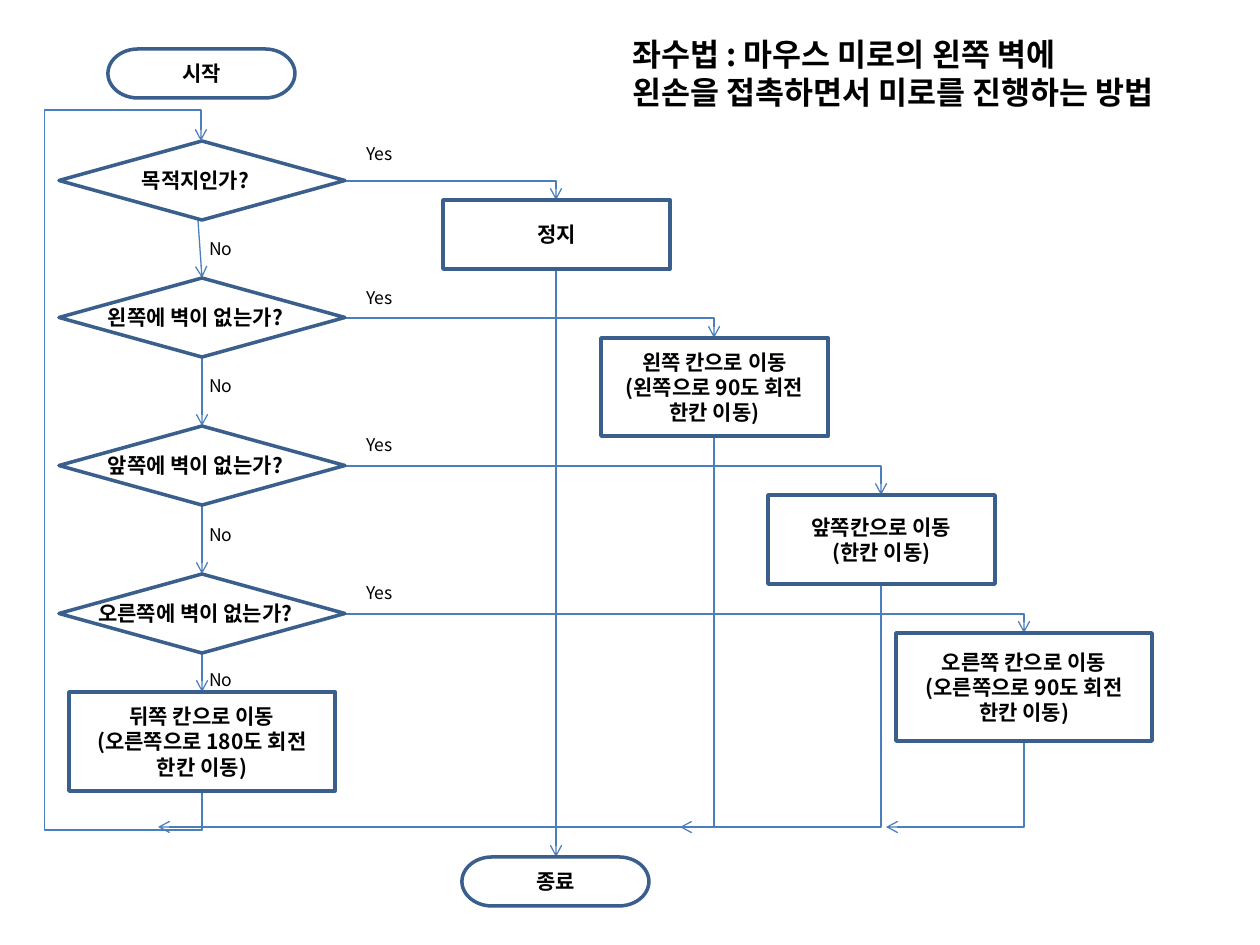
from dataclasses import dataclass

from lxml.etree import SubElement
from pptx import Presentation
from pptx.dml.color import RGBColor
from pptx.enum.shapes import MSO_CONNECTOR, MSO_SHAPE
from pptx.enum.text import MSO_ANCHOR, PP_ALIGN
from pptx.oxml.ns import qn
from pptx.util import Emu, Pt


@dataclass(frozen=True)
class Theme:
    """Colours, font and sizes in points."""
    font: str = "Noto Sans CJK KR"
    ink: RGBColor = RGBColor(0, 0, 0)
    paper: RGBColor = RGBColor(255, 255, 255)
    border: RGBColor = RGBColor(0x3A, 0x5F, 0x8C)
    flow: RGBColor = RGBColor(0x4B, 0x7E, 0xBC)
    title: int = 18
    step: int = 12
    label: int = 10
    border_width: float = 2
    flow_width: float = 0.75


THEME = Theme()
MAIN_X = 202
STOP_X = 556
DECISION_LEFT, DECISION_WIDTH, DECISION_HEIGHT = 59, 286, 79
RETURN_Y = 827


def px(length):
    """Turn pixels into EMU."""
    return Emu(round(length * 914400 / 126))


def write(frame, lines, size, bold=False, align=PP_ALIGN.LEFT):
    """Fill a text frame with one paragraph per line."""
    frame.text = "\n".join(lines)
    for paragraph in frame.paragraphs:
        paragraph.alignment = align
        font = paragraph.font
        font.name, font.size, font.bold = THEME.font, Pt(size), bold
        font.color.rgb = THEME.ink
        properties = paragraph._p.pPr.find(qn("a:defRPr"))
        SubElement(properties, qn("a:ea")).set("typeface", THEME.font)


def add_text(slide, left, top, width, height, lines, size, bold=False):
    """Add a free-standing text."""
    box = slide.shapes.add_textbox(px(left), px(top), px(width), px(height))
    box.text_frame.word_wrap = True
    write(box.text_frame, lines, size, bold)


def add_step(slide, preset, left, top, width, height, *lines):
    """Add an outlined flowchart step with centred bold text."""
    step = slide.shapes.add_shape(preset, px(left), px(top), px(width), px(height))
    step.shadow.inherit = False
    step.fill.solid()
    step.fill.fore_color.rgb = THEME.paper
    step.line.color.rgb = THEME.border
    step.line.width = Pt(THEME.border_width)
    frame = step.text_frame
    frame.word_wrap = True
    frame.vertical_anchor = MSO_ANCHOR.MIDDLE
    write(frame, lines, THEME.step, True, PP_ALIGN.CENTER)
    return step


def add_decision(slide, top, question):
    """Add a diamond whose question may run past its inner text area."""
    decision = add_step(slide, MSO_SHAPE.FLOWCHART_DECISION, DECISION_LEFT, top,
                        DECISION_WIDTH, DECISION_HEIGHT, question)
    frame = decision.text_frame
    frame.word_wrap = False
    frame.margin_left, frame.margin_right = 0, px(13)


def add_arrow(slide, x1, y1, x2, y2, kind=MSO_CONNECTOR.STRAIGHT):
    """Add a thin arrow that points at its second end."""
    arrow = slide.shapes.add_connector(kind, px(x1), px(y1), px(x2), px(y2))
    arrow.line.color.rgb = THEME.flow
    arrow.line.width = Pt(THEME.flow_width)
    SubElement(arrow.line._get_or_add_ln(), qn("a:tailEnd")).set("type", "arrow")
    SubElement(arrow._element.spPr, qn("a:effectLst"))
    return arrow


def set_bends(arrow, preset, adjustments=()):
    """Choose the elbow preset and its adjustments, given as fractions."""
    geometry = arrow._element.spPr.find(qn("a:prstGeom"))
    geometry.set("prst", preset)
    guides = geometry.find(qn("a:avLst"))
    for number, value in enumerate(adjustments, 1):
        guide = SubElement(guides, qn("a:gd"))
        guide.set("name", f"adj{number}")
        guide.set("fmla", f"val {round(value * 100000)}")


def turn_quarter(arrow, flip=False):
    """Turn an arrow clockwise so that it covers the same area upright."""
    left, top, width, height = arrow.left, arrow.top, arrow.width, arrow.height
    frame = arrow._element.spPr.xfrm
    for flag in ("flipH", "flipV"):
        frame.attrib.pop(flag, None)
    if flip:
        frame.set("flipH", "1")
    frame.set("rot", str(90 * 60000))
    arrow.left = Emu(left + (width - height) // 2)
    arrow.top = Emu(top + (height - width) // 2)
    arrow.width, arrow.height = height, width


def add_yes_arrow(slide, y, action_x, action_top):
    """Lead right from a decision, then down to its action."""
    arrow = add_arrow(slide, DECISION_LEFT + DECISION_WIDTH, y, action_x,
                      action_top, MSO_CONNECTOR.ELBOW)
    set_bends(arrow, "bentConnector2")


def add_return_arrow(slide, x, y, end_x):
    """Lead down from an action, then left along the return line."""
    arrow = add_arrow(slide, x, y, end_x, RETURN_Y, MSO_CONNECTOR.ELBOW)
    set_bends(arrow, "bentConnector2")
    turn_quarter(arrow)


def add_loop(slide, start_y, end_y, bottom, left, top):
    """Lead from the last step around the left side to the first decision."""
    rise = start_y - end_y
    arrow = add_arrow(slide, MAIN_X, start_y, MAIN_X - 1, end_y, MSO_CONNECTOR.ELBOW)
    set_bends(arrow, "bentConnector5",
              ((start_y - bottom) / rise, MAIN_X - left, (start_y - top) / rise))
    turn_quarter(arrow, flip=True)


def main():
    """Build the maze flowchart slide."""
    deck = Presentation()
    deck.slide_width, deck.slide_height = px(1260), px(945)
    slide = deck.slides.add_slide(deck.slide_layouts[6])
    process, terminator = MSO_SHAPE.FLOWCHART_PROCESS, MSO_SHAPE.FLOWCHART_TERMINATOR

    add_text(slide, 620, 29, 611, 165,
             ("좌수법 : 마우스 미로의 왼쪽 벽에", "왼손을 접촉하면서 미로를 진행하는 방법"),
             THEME.title, True)

    # question, its top, top of the Yes label, top of the No label
    decisions = (
        ("목적지인가?", 141, 137, 232),
        ("왼쪽에 벽이 없는가?", 278, 281, 369),
        ("앞쪽에 벽이 없는가?", 426, 428, 518),
        ("오른쪽에 벽이 없는가?", 574, 576, 663),
    )
    # left, top, width, height, end of the return arrow, lines
    actions = (
        (443, 200, 227, 69, None, ("정지",)),
        (601, 338, 227, 98, 158, ("왼쪽 칸으로 이동", "(왼쪽으로 90도 회전", "한칸 이동)")),
        (768, 495, 227, 89, 680, ("앞쪽칸으로 이동", "(한칸 이동)")),
        (896, 633, 256, 108, 886, ("오른쪽 칸으로 이동", "(오른쪽으로 90도 회전", "한칸 이동)")),
    )
    last_top, last_height, end_top = 692, 99, 857
    next_tops = [top for _, top, _, _ in decisions[1:]] + [last_top]

    for index, (decision, action, next_top) in enumerate(zip(decisions, actions, next_tops)):
        question, top, yes_top, no_top = decision
        left, action_top, width, height, return_x, lines = action
        action_x = left + width // 2
        # The first No arrow leans slightly.
        add_arrow(slide, MAIN_X if index else 198, top + DECISION_HEIGHT, MAIN_X, next_top)
        add_yes_arrow(slide, top + DECISION_HEIGHT // 2 + 1, action_x, action_top)
        if return_x:
            add_return_arrow(slide, action_x, action_top + height, return_x)
        else:
            add_arrow(slide, STOP_X, action_top + height, STOP_X, end_top)
        add_decision(slide, top, question)
        add_step(slide, process, left, action_top, width, height, *lines)
        add_text(slide, 354, yes_top, 54, 34, ("Yes",), THEME.label)
        add_text(slide, 197, no_top, 50, 34, ("No",), THEME.label)

    add_loop(slide, last_top + last_height, decisions[0][1], bottom=830, left=43, top=110)
    add_step(slide, process, 69, last_top, 266, last_height,
             "뒤쪽 칸으로 이동", "(오른쪽으로 180도 회전", "한칸 이동)")
    for left, top, word in ((108, 49, "시작"), (462, end_top, "종료")):
        add_step(slide, terminator, left, top, 187, 49, word)

    deck.save("out.pptx")


main()
